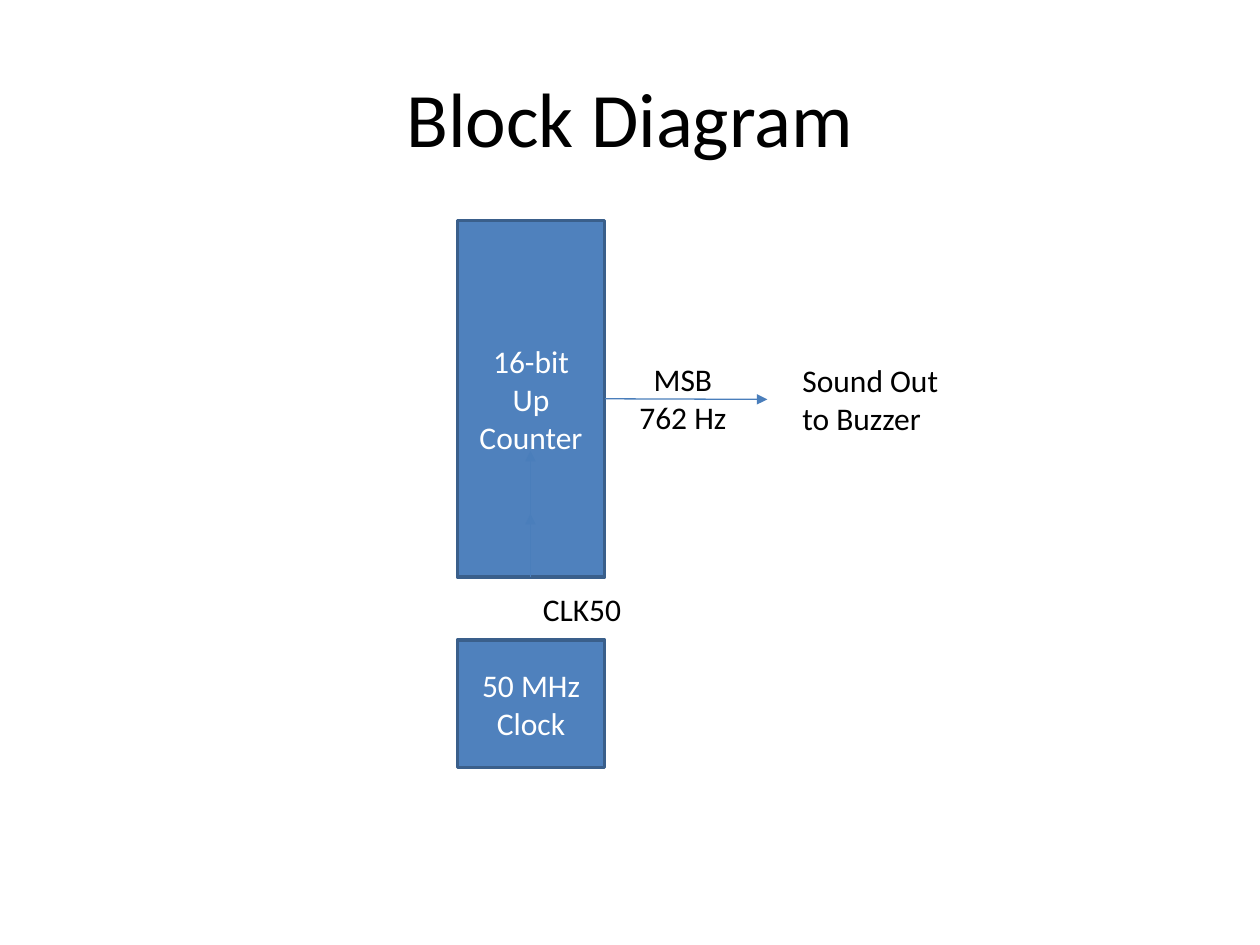
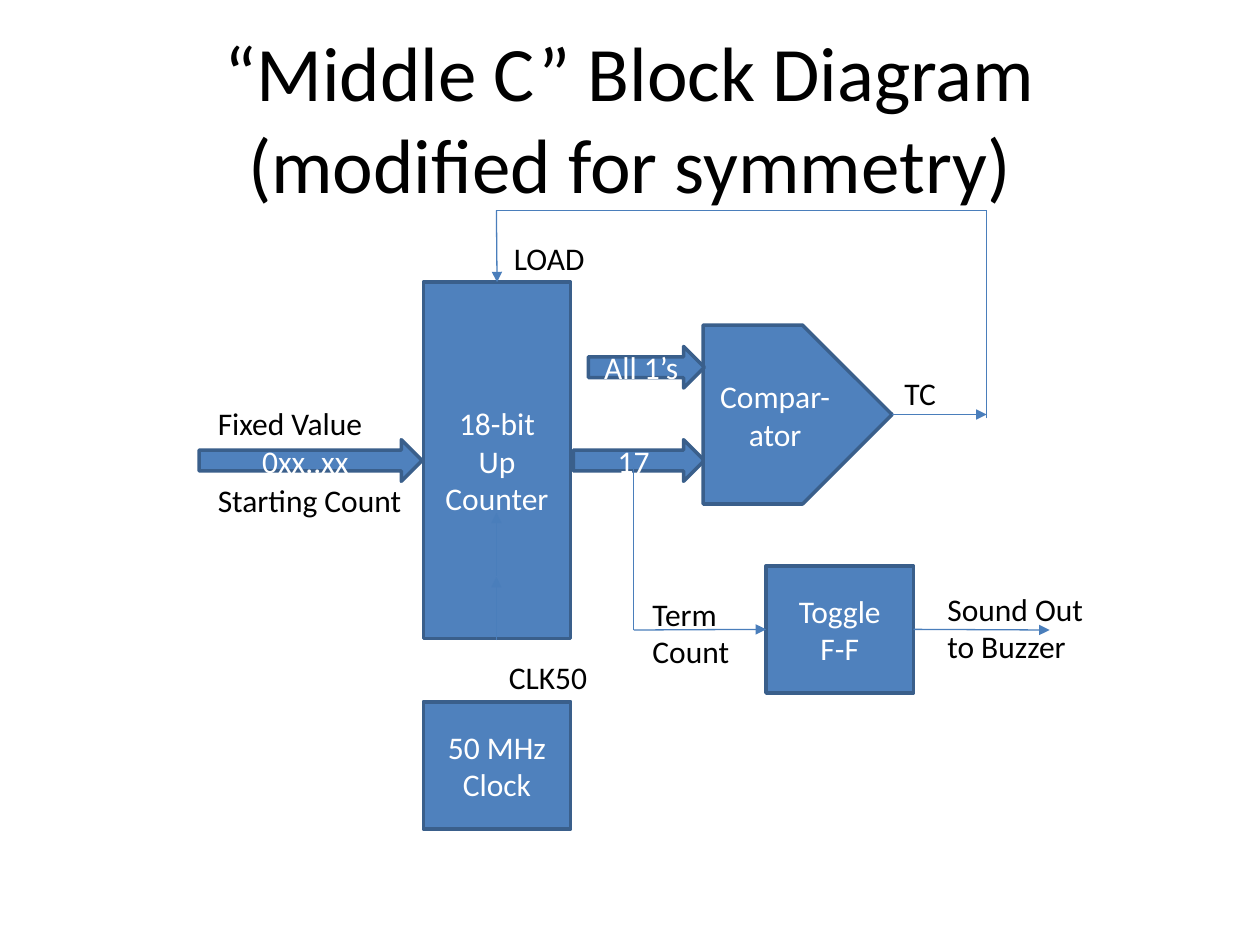
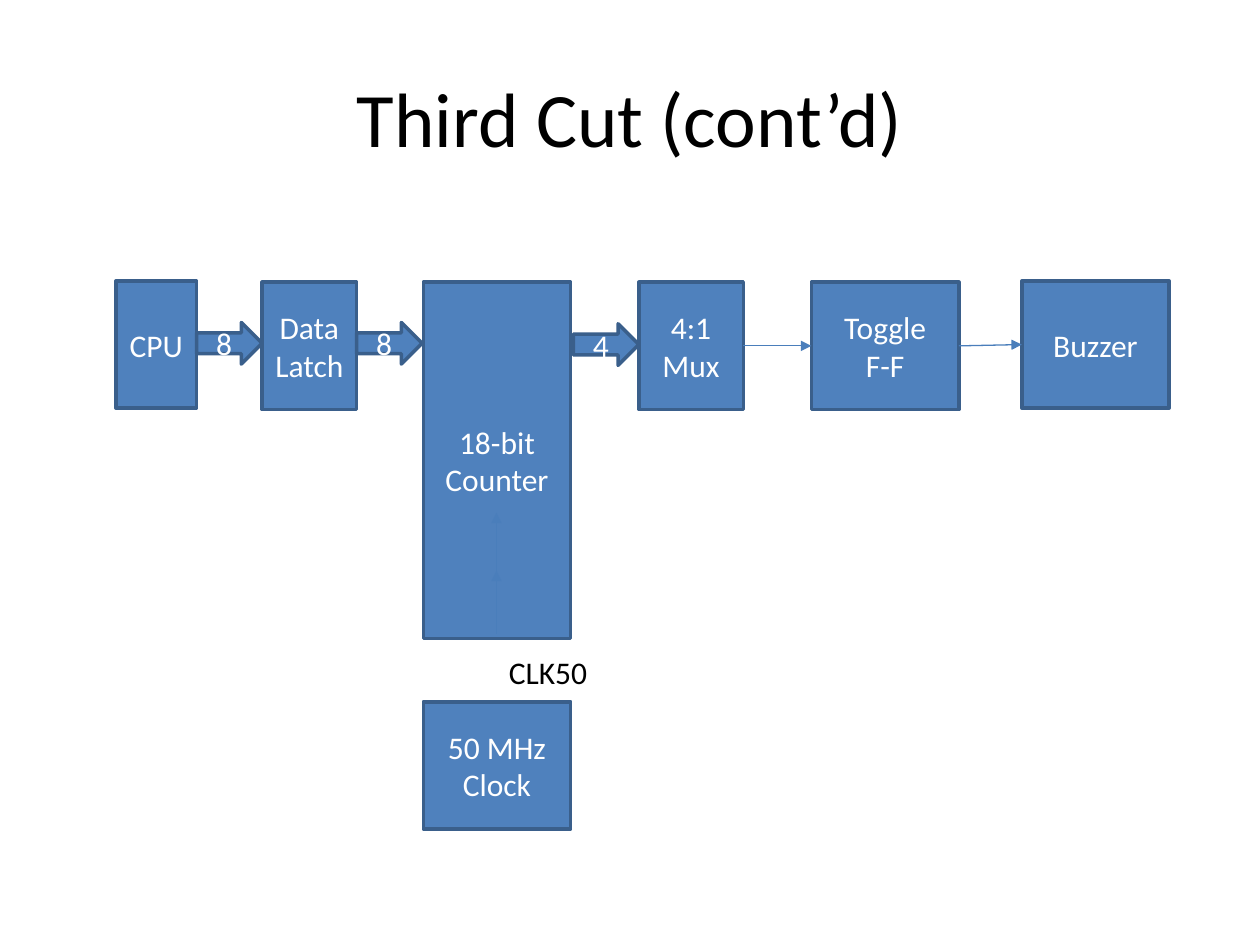
from lxml.etree import SubElement
from pptx import Presentation
from pptx.dml.color import RGBColor
from pptx.enum.shapes import MSO_CONNECTOR, MSO_SHAPE
from pptx.enum.text import MSO_ANCHOR, PP_ALIGN
from pptx.oxml.ns import qn
from pptx.util import Inches, Pt

BLUE = RGBColor(0x4F, 0x81, 0xBD)
OUTLINE = RGBColor(0x3A, 0x5F, 0x8B)
WIRE = RGBColor(0x4A, 0x7E, 0xBB)
WHITE = RGBColor(0xFF, 0xFF, 0xFF)
BLACK = RGBColor(0, 0, 0)
FONT = "Calibri"
TITLE_SIZE, BODY_SIZE = 44, 18
BLOCK_WIDTH, BLOCK_HEIGHT = 1.17, 1.01
COUNTER_HEIGHT, CLOCK_OFFSET = 2.83, 3.33
BUS_HEIGHT = 0.33
TOP, LEFT, BOTTOM, RIGHT = range(4)


class Diagram:
    """Draws block diagrams on the current slide in one style."""

    def __init__(self):
        self.deck = Presentation()
        self.deck.slide_width, self.deck.slide_height = Inches(10), Inches(7.5)
        self.page = None

    def new_page(self, *title):
        self.page = self.deck.slides.add_slide(self.deck.slide_layouts[6])
        self.label(0.5, 0.3, 9, 1.25, *title, size=TITLE_SIZE,
                   align=PP_ALIGN.CENTER, anchor=MSO_ANCHOR.MIDDLE)

    def fill_text(self, shape, lines, size, color, align, anchor, gap=0):
        frame = shape.text_frame
        frame.word_wrap = True
        frame.vertical_anchor = anchor
        for index, text in enumerate(lines):
            para = frame.add_paragraph() if index else frame.paragraphs[0]
            para.alignment = align
            para.space_before = Pt(gap if index else 0)
            span = para.add_run()
            span.text = text
            span.font.name, span.font.size = FONT, Pt(size)
            span.font.color.rgb = color

    def label(self, left, top, width, height, *lines, size=BODY_SIZE,
              align=PP_ALIGN.LEFT, anchor=MSO_ANCHOR.TOP, gap=0):
        box = self.page.shapes.add_textbox(
            Inches(left), Inches(top), Inches(width), Inches(height))
        self.fill_text(box, lines, size, BLACK, align, anchor, gap)

    def block(self, left, top, *lines, width=BLOCK_WIDTH, height=BLOCK_HEIGHT,
              kind=MSO_SHAPE.RECTANGLE):
        shape = self.page.shapes.add_shape(
            kind, Inches(left), Inches(top), Inches(width), Inches(height))
        shape.shadow.inherit = False
        shape.fill.solid()
        shape.fill.fore_color.rgb = BLUE
        shape.line.color.rgb = OUTLINE
        shape.line.width = Pt(2)
        self.fill_text(shape, lines, BODY_SIZE, WHITE, PP_ALIGN.CENTER, MSO_ANCHOR.MIDDLE)
        return shape

    def bus(self, left, top, width, text):
        self.block(left, top, text, width=width, height=BUS_HEIGHT,
                   kind=MSO_SHAPE.RIGHT_ARROW)

    def wire(self, start, end, arrow=True, source=None, target=None):
        connector = self.page.shapes.add_connector(
            MSO_CONNECTOR.STRAIGHT, *map(Inches, start + end))
        if source:
            connector.begin_connect(*source)
        if target:
            connector.end_connect(*target)
        connector.line.color.rgb = WIRE
        connector.line.width = Pt(0.75)
        properties = connector.element.spPr
        if arrow:
            SubElement(properties.find(qn("a:ln")), qn("a:tailEnd"), type="triangle")
        SubElement(properties, qn("a:effectLst"))

    def clocked_counter(self, left, top, lines, label_offset, wire_offset):
        counter = self.block(left, top, *lines, height=COUNTER_HEIGHT)
        self.block(left, top + CLOCK_OFFSET, "50 MHz", "Clock")
        middle = left + 0.58
        for offset in (2.33, wire_offset):
            start = top + offset
            self.wire((middle, start), (middle, start - 0.5))
        self.label(middle, top + label_offset, 0.85, 0.4, "CLK50")
        return counter

    def sound_out(self, left, top):
        self.label(left, top, 1.58, 0.7, "Sound Out", "to Buzzer")


def draw_block_diagram(diagram):
    diagram.new_page("Block Diagram")
    counter = diagram.clocked_counter(3.63, 1.75, ("16-bit", "Up", "Counter"), 2.88, 2.83)
    diagram.wire((4.8, 3.17), (6.09, 3.17), source=(counter, RIGHT))
    diagram.label(4.92, 2.81, 1, 0.77, "MSB", "762 Hz", align=PP_ALIGN.CENTER)
    diagram.sound_out(6.27, 2.82)


def draw_middle_c(diagram):
    diagram.new_page("“Middle C” Block Diagram", "(modified for symmetry)")
    counter = diagram.clocked_counter(3.36, 2.24, ("18-bit", "Up", "Counter"), 2.93, 2.84)
    diagram.bus(4.55, 3.49, 1.04, "17")
    comparator = diagram.block(5.58, 2.58, "Compar-", "ator", width=1.5, height=1.42,
                               kind=MSO_SHAPE.PENTAGON)
    diagram.bus(4.67, 2.75, 0.92, "All 1’s")
    diagram.bus(1.58, 3.49, 1.77, "0xx..xx")
    diagram.label(1.63, 3.16, 1.71, 1.17, "Fixed Value", "Starting Count", gap=22)

    diagram.wire((7.08, 3.29), (7.83, 3.29), source=(comparator, RIGHT))
    diagram.label(7.08, 2.92, 0.67, 0.4, "TC")
    diagram.wire((7.83, 3.32), (7.83, 1.67), arrow=False)
    diagram.wire((7.83, 1.67), (3.94, 1.67), arrow=False)
    diagram.wire((3.94, 1.67), (3.94, 2.24), target=(counter, TOP))
    diagram.label(3.98, 1.85, 0.85, 0.4, "LOAD")

    toggle = diagram.block(6.08, 4.49, "Toggle", "F-F")
    diagram.wire((5.03, 5), (5.03, 3.71), arrow=False)
    diagram.wire((5.03, 5), (6.08, 5), target=(toggle, LEFT))
    diagram.label(5.08, 4.67, 0.92, 0.67, "Term", "Count")
    diagram.wire((7.25, 5), (8.33, 5), source=(toggle, RIGHT))
    diagram.sound_out(7.42, 4.63)


def draw_third_cut(diagram):
    diagram.new_page("Third Cut (cont’d)")
    diagram.clocked_counter(3.36, 2.24, ("18-bit", "Counter"), 2.89, 2.79)
    diagram.block(0.92, 2.23, "CPU", width=0.64)
    diagram.block(2.08, 2.24, "Data", "Latch", width=0.75)
    mux = diagram.block(5.07, 2.24, "4:1", "Mux", width=0.83)
    toggle = diagram.block(6.44, 2.24, "Toggle", "F-F")
    buzzer = diagram.block(8.11, 2.23, "Buzzer")
    for left, top, bits in ((1.56, 2.56, "8"), (2.83, 2.56, "8"), (4.55, 2.57, "4")):
        diagram.bus(left, top, 0.52, bits)
    diagram.wire((5.9, 2.74), (6.44, 2.74), source=(mux, RIGHT), target=(toggle, LEFT))
    diagram.wire((7.61, 2.72), (8.11, 2.71), source=(toggle, RIGHT), target=(buzzer, LEFT))


def main():
    diagram = Diagram()
    draw_block_diagram(diagram)
    draw_middle_c(diagram)
    draw_third_cut(diagram)
    diagram.deck.save("out.pptx")


if __name__ == "__main__":
    main()
